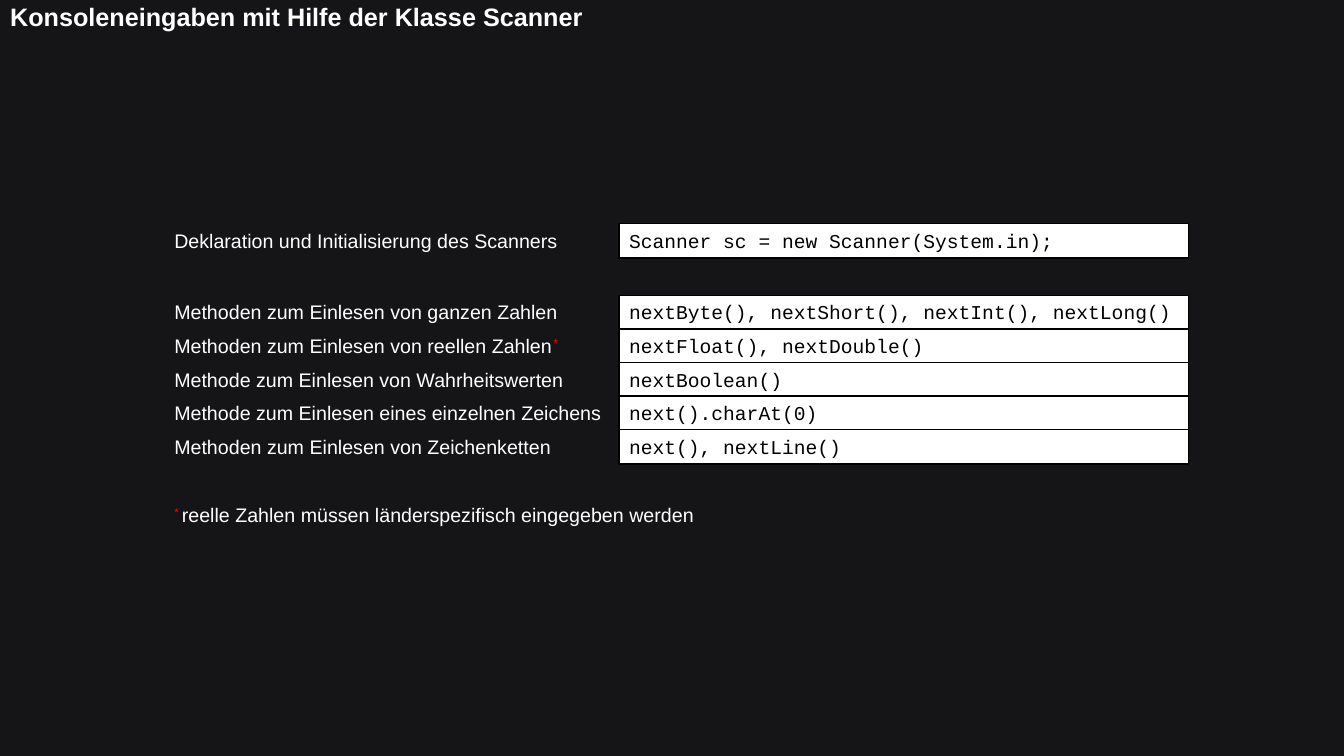
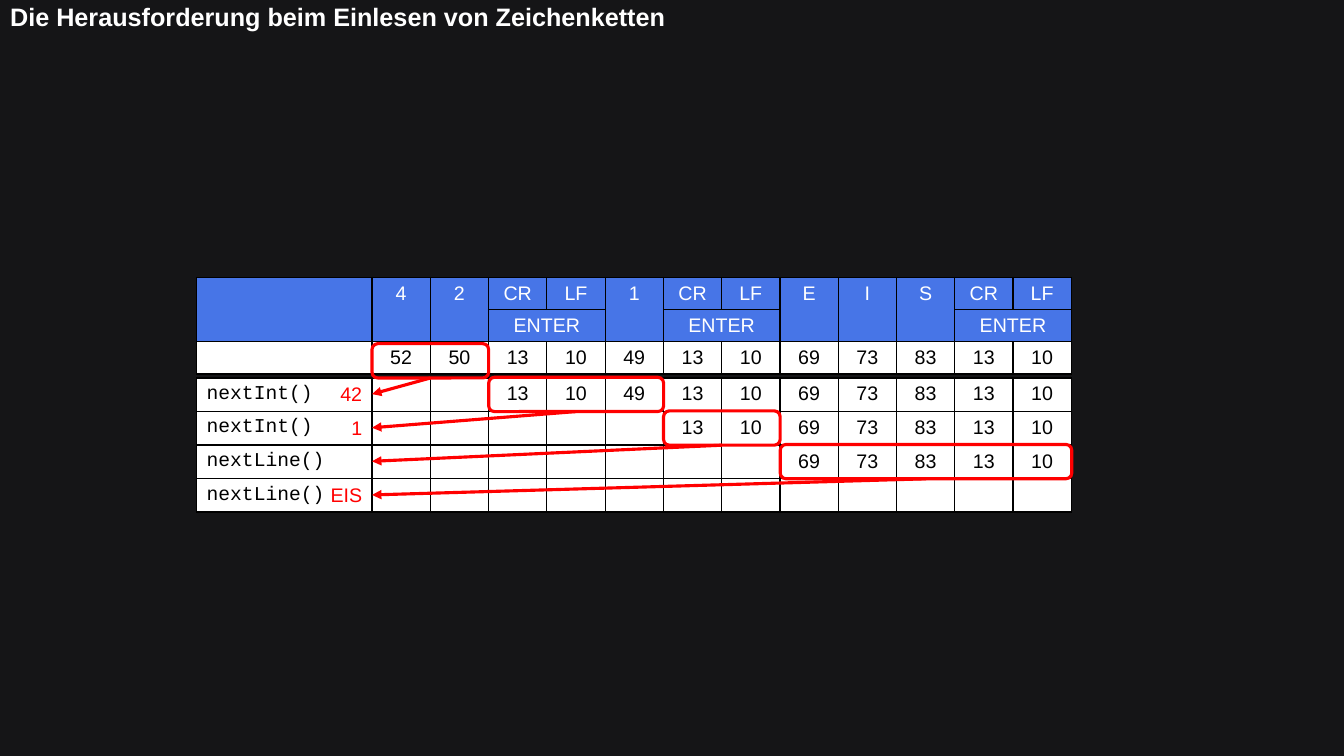
from dataclasses import dataclass

from lxml import etree
from pptx import Presentation
from pptx.dml.color import RGBColor as Rgb
from pptx.enum.shapes import MSO_CONNECTOR as Connector, MSO_SHAPE as Shape
from pptx.enum.text import MSO_ANCHOR as Anchor, MSO_AUTO_SIZE as AutoSize, PP_ALIGN as Align
from pptx.oxml.ns import qn
from pptx.util import Inches, Pt


@dataclass(frozen=True)
class Theme:
    """Colours, fonts and sizes shared by all slides."""
    background: str = "151517"
    light: str = "FFFFFF"
    dark: str = "000000"
    header: str = "4775E7"
    accent: str = "FF0000"
    sans: str = "Arial"
    mono: str = "Courier New"
    title_size: int = 18
    text_size: int = 14
    border: float = 1
    mark: float = 2.25


THEME = Theme()
LINE_HEIGHT = 0.34
ROW_PITCH = 1 / 3

LABEL_LEFT, LABEL_WIDTH = 1.63, 4.62
CODE_LEFT, CODE_WIDTH = 6.14, 5.65
DECLARATION = ("Deklaration und Initialisierung des Scanners",
               "Scanner sc = new Scanner(System.in);")
METHODS = [
    ("Methoden zum Einlesen von ganzen Zahlen", "nextByte(), nextShort(), nextInt(), nextLong()"),
    ("Methoden zum Einlesen von reellen Zahlen*", "nextFloat(), nextDouble()"),
    ("Methode zum Einlesen von Wahrheitswerten", "nextBoolean()"),
    ("Methode zum Einlesen eines einzelnen Zeichens", "next().charAt(0)"),
    ("Methoden zum Einlesen von Zeichenketten", "next(), nextLine()"),
]

BUFFER_LEFT, BUFFER_TOP, CALLS_TOP = 1.95, 2.75, 3.75
CALL_WIDTH, BYTE_WIDTH = 1.74, 6.94 / 12
HEADER_ROW, CALL_ROW = 0.32, 0.33
RESULT_EDGE, RESULT_WIDTH = BUFFER_LEFT + CALL_WIDTH, 0.69
KEYS = ["4", "2", "CR", "LF", "1", "CR", "LF", "E", "I", "S", "CR", "LF"]
CODES = ["52", "50", "13", "10", "49", "13", "10", "69", "73", "83", "13", "10"]
READS = [
    ("nextInt()", 0, 2, "42"),
    ("nextInt()", 2, 5, "1"),
    ("nextLine()", 5, 7, ""),
    ("nextLine()", 7, 12, "EIS"),
]


def inches(*lengths):
    """Convert several lengths at once."""
    return [Inches(length) for length in lengths]


def style_run(run, color, font=THEME.sans, size=THEME.text_size, bold=False):
    """Give a run its font, size and colour."""
    run.font.name = font
    run.font.size = Pt(size)
    run.font.bold = bold
    run.font.color.rgb = Rgb.from_string(color)


def style_line(line, color, width):
    """Give an outline its colour and width."""
    line.color.rgb = Rgb.from_string(color)
    line.width = Pt(width)


def add_titled_slide(prs, heading):
    """Add a slide with the shared title style."""
    slide = prs.slides.add_slide(prs.slide_layouts[5])
    title = slide.shapes.title
    title.left, title.top, title.width, title.height = inches(0, 0, 13.33, 0.37)
    frame = title.text_frame
    frame.text = heading
    frame.auto_size = AutoSize.NONE
    frame.vertical_anchor = Anchor.MIDDLE
    paragraph = frame.paragraphs[0]
    paragraph.alignment = Align.LEFT
    paragraph.line_spacing = 0.9
    style_run(paragraph.runs[0], THEME.light, size=THEME.title_size, bold=True)
    return slide


def add_text(slide, left, top, width, pieces, align=Align.LEFT):
    """Add one line made of (text, colour, font, raised) pieces."""
    box = slide.shapes.add_textbox(*inches(left, top, width, LINE_HEIGHT))
    box.text_frame.word_wrap = True
    paragraph = box.text_frame.paragraphs[0]
    paragraph.alignment = align
    for text, color, font, raised in pieces:
        run = paragraph.add_run()
        run.text = text
        style_run(run, color, font)
        if raised:
            run.font._element.set("baseline", "30000")


def add_code(slide, top, code):
    """Add a framed line of code."""
    panel = slide.shapes.add_shape(Shape.RECTANGLE, *inches(CODE_LEFT, top, CODE_WIDTH, LINE_HEIGHT))
    panel.shadow.inherit = False
    panel.fill.solid()
    panel.fill.fore_color.rgb = Rgb.from_string(THEME.light)
    style_line(panel.line, THEME.dark, THEME.border)
    frame = panel.text_frame
    frame.text = code
    frame.word_wrap = True
    frame.vertical_anchor = Anchor.TOP
    frame.paragraphs[0].alignment = Align.LEFT
    style_run(frame.paragraphs[0].runs[0], THEME.dark, THEME.mono)


def add_method_row(slide, top, label, code):
    """Add a description and the code that belongs to it."""
    text, star, _ = label.partition("*")
    pieces = [(text, THEME.light, THEME.sans, False)]
    if star:
        pieces.append((star, THEME.accent, THEME.mono, True))
    add_text(slide, LABEL_LEFT, top, LABEL_WIDTH, pieces)
    add_code(slide, top, code)


def add_borders(cell):
    """Draw a thin border on each side of a cell."""
    properties = cell._tc.get_or_add_tcPr()
    for position, side in enumerate(("a:lnL", "a:lnR", "a:lnT", "a:lnB")):
        border = etree.Element(qn(side), w=str(Pt(THEME.border)))
        fill = etree.SubElement(border, qn("a:solidFill"))
        etree.SubElement(fill, qn("a:srgbClr"), val=THEME.dark)
        properties.insert(position, border)


def fill_cell(cell, text, fill, color, font, align):
    """Set the text and look of a table cell."""
    cell.fill.solid()
    cell.fill.fore_color.rgb = Rgb.from_string(fill)
    add_borders(cell)
    paragraph = cell.text_frame.paragraphs[0]
    paragraph.alignment = align
    if text:
        paragraph.text = text
        style_run(paragraph.runs[0], color, font)
    else:
        end = etree.SubElement(paragraph._p, qn("a:endParaRPr"), sz=str(THEME.text_size * 100))
        etree.SubElement(end, qn("a:latin"), typeface=font)


def add_buffer_table(slide, top, row_height, rows, header_rows=0):
    """Add a table with a call column and one column per byte."""
    height = row_height * len(rows)
    width = CALL_WIDTH + BYTE_WIDTH * len(KEYS)
    table = slide.shapes.add_table(len(rows), len(KEYS) + 1,
                                   *inches(BUFFER_LEFT, top, width, height)).table
    table.first_row = table.horz_banding = False
    for index, column in enumerate(table.columns):
        column.width = Inches(BYTE_WIDTH if index else CALL_WIDTH)
    for r, values in enumerate(rows):
        table.rows[r].height = Inches(row_height)
        fill, color = (THEME.header, THEME.light) if r < header_rows else (THEME.light, THEME.dark)
        for c, value in enumerate(values):
            font, align = (THEME.sans, Align.CENTER) if c else (THEME.mono, Align.LEFT)
            fill_cell(table.cell(r, c), value, fill, color, font, align)
    return table


def add_key_table(slide):
    """Add the typed keys with their character codes."""
    enters = ["ENTER" if key == "CR" else "" for key in KEYS]
    rows = [[""] + KEYS, [""] + enters, [""] + CODES]
    table = add_buffer_table(slide, BUFFER_TOP, HEADER_ROW, rows, header_rows=2)
    for c, key in enumerate(rows[0]):
        if key == "CR":
            table.cell(1, c).merge(table.cell(1, c + 1))
        elif key != "LF":
            table.cell(0, c).merge(table.cell(1, c))


def add_read_mark(slide, top, start, end):
    """Frame the bytes that a call reads and point to its result."""
    left = RESULT_EDGE + BYTE_WIDTH * start
    width = BYTE_WIDTH * (end - start)
    frame = slide.shapes.add_shape(Shape.ROUNDED_RECTANGLE, *inches(left, top, width, LINE_HEIGHT))
    frame.shadow.inherit = False
    frame.fill.background()
    style_line(frame.line, THEME.accent, THEME.mark)
    arrow = slide.shapes.add_connector(
        Connector.STRAIGHT,
        *inches(left + width / 2, top + LINE_HEIGHT, RESULT_EDGE, top + ROW_PITCH * 1.5))
    style_line(arrow.line, THEME.accent, THEME.mark)
    etree.SubElement(arrow.line._get_or_add_ln(), qn("a:tailEnd"), type="triangle")
    etree.SubElement(arrow._element.spPr, qn("a:effectLst"))


def build_scanner_slide(prs):
    """Build the overview of the Scanner methods."""
    slide = add_titled_slide(prs, "Konsoleneingaben mit Hilfe der Klasse Scanner")
    add_method_row(slide, 2.22, *DECLARATION)
    for index, (label, code) in enumerate(METHODS):
        add_method_row(slide, 2.93 + ROW_PITCH * index, label, code)
    add_text(slide, LABEL_LEFT, 4.94, 5.39, [
        ("* ", THEME.accent, THEME.sans, True),
        ("reelle Zahlen müssen länderspezifisch eingegeben werden", THEME.light, THEME.sans, False),
    ])


def build_buffer_slide(prs):
    """Build the walk through the input buffer."""
    slide = add_titled_slide(prs, "Die Herausforderung beim Einlesen von Zeichenketten")
    add_key_table(slide)
    for index, (call, _, end, _) in enumerate(READS):
        remaining = [""] * end + CODES[end:]
        add_buffer_table(slide, CALLS_TOP + ROW_PITCH * index, CALL_ROW, [[call] + remaining])
    for index, (_, start, end, result) in enumerate(READS):
        top = CALLS_TOP + ROW_PITCH * index
        add_read_mark(slide, top - LINE_HEIGHT, start, end)
        if result:
            add_text(slide, RESULT_EDGE - RESULT_WIDTH, top - 0.01, RESULT_WIDTH,
                     [(result, THEME.accent, THEME.sans, False)], Align.RIGHT)


def main():
    """Create the presentation."""
    prs = Presentation()
    prs.slide_width, prs.slide_height = inches(13.33, 7.5)
    backdrop = prs.slide_master.background.fill
    backdrop.solid()
    backdrop.fore_color.rgb = Rgb.from_string(THEME.background)
    build_scanner_slide(prs)
    build_buffer_slide(prs)
    prs.save("out.pptx")


if __name__ == "__main__":
    main()
